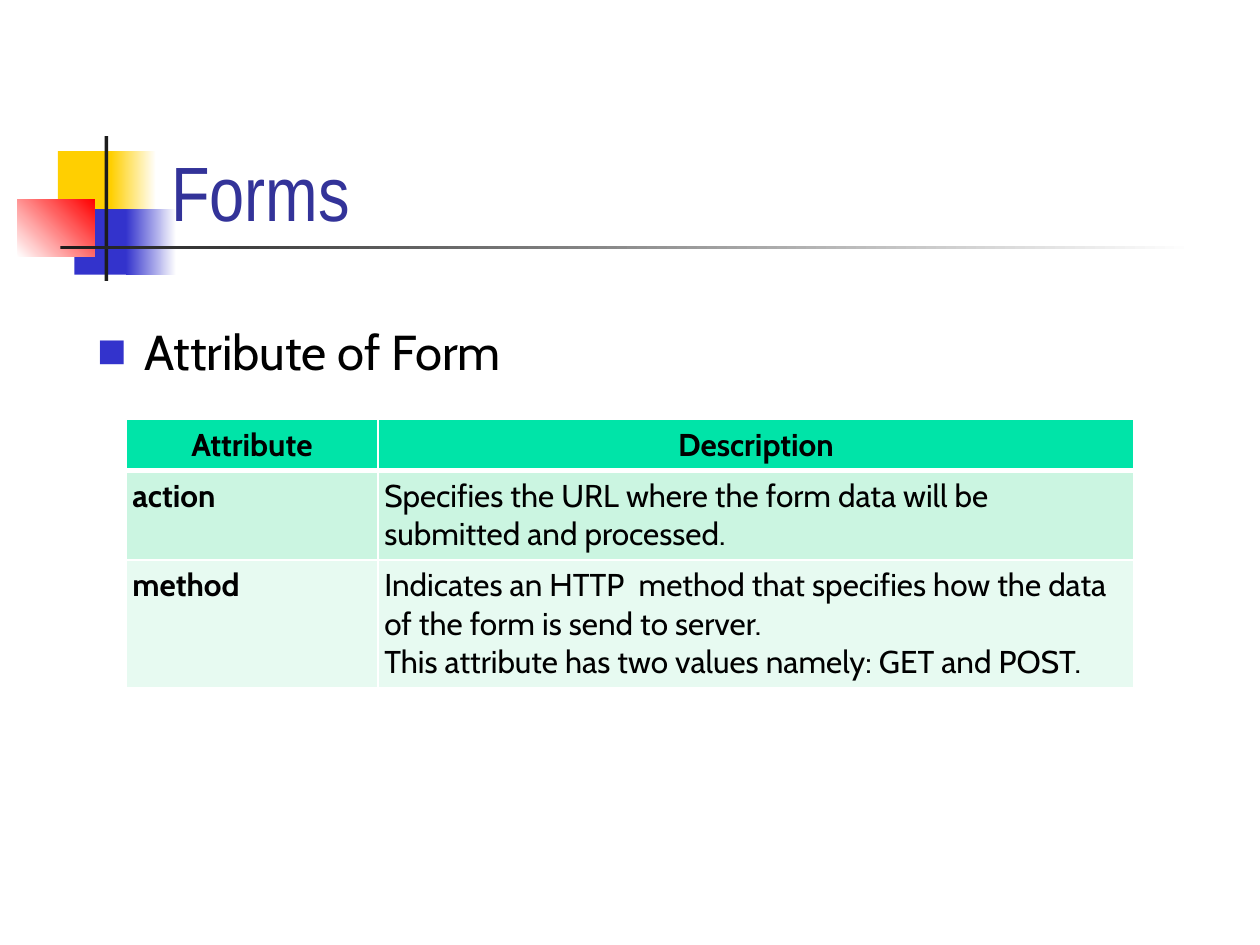
from lxml import etree
from pptx import Presentation
from pptx.dml.color import RGBColor
from pptx.enum.shapes import MSO_SHAPE
from pptx.enum.text import MSO_ANCHOR, MSO_AUTO_SIZE, PP_ALIGN
from pptx.oxml.ns import qn
from pptx.util import Inches, Pt

RECTANGLE = MSO_SHAPE.RECTANGLE
LEFT, CENTER = PP_ALIGN.LEFT, PP_ALIGN.CENTER
TOP, BOTTOM = MSO_ANCHOR.TOP, MSO_ANCHOR.BOTTOM
NO_AUTOFIT = MSO_AUTO_SIZE.NONE

WHITE = RGBColor(0xFF, 0xFF, 0xFF)
BLACK = RGBColor(0x00, 0x00, 0x00)
YELLOW = RGBColor(0xFF, 0xCF, 0x01)
BLUE = RGBColor(0x33, 0x33, 0xCC)
RED = RGBColor(0xFF, 0x00, 0x00)
CHARCOAL = RGBColor(0x1C, 0x1C, 0x1C)
TITLE_BLUE = RGBColor(0x33, 0x33, 0x99)
HEADER_GREEN = RGBColor(0x00, 0xE4, 0xA8)
ROW_GREENS = (RGBColor(0xCB, 0xF5, 0xE1), RGBColor(0xE7, 0xFA, 0xF1))

TITLE_FONT, BODY_FONT = "Arial Narrow", "Cabin"

# left, top, width, height, colours from start to end, gradient angle
DECORATION = (
    (0.46, 1.2, 0.48, 0.52, (YELLOW,), 0),
    (0.88, 1.2, 0.36, 0.52, (YELLOW, WHITE), 0),
    (0.59, 1.66, 0.46, 0.52, (BLUE,), 0),
    (1.0, 1.66, 0.4, 0.52, (BLUE, WHITE), 0),
    (0.14, 1.58, 0.61, 0.46, (WHITE, RED), 45),
    (0.83, 1.08, 0.03, 1.15, (CHARCOAL,), 0),
    (0.48, 1.95, 9.0, 0.03, (CHARCOAL, WHITE), 0),
)

COLUMN_WIDTHS = (2, 6)
ROW_HEIGHTS = (0.4, 0.7, 1)
ROWS = (
    ("Attribute", "Description"),
    ("action", "Specifies the URL where the form data will be submitted and processed."),
    ("method", "Indicates an HTTP  method that specifies how the data of the form "
               "is send to server.\nThis attribute has two values namely: GET and POST."),
)


def write_text(frame, text, *, size, font, color, bold=False, align=LEFT):
    """Fill a text frame, one paragraph for each line of text."""
    frame.text = text
    frame.word_wrap = True
    for para in frame.paragraphs:
        para.alignment = align
        para.space_before = Pt(0)
        for span in para.runs:
            span.font.size = Pt(size)
            span.font.name = font
            span.font.bold = bold
            span.font.color.rgb = color


def add_block(page, left, top, width, height, colors, angle):
    block = page.shapes.add_shape(
        RECTANGLE, Inches(left), Inches(top), Inches(width), Inches(height))
    block.shadow.inherit = False
    block.line.fill.background()
    if len(colors) == 1:
        block.fill.solid()
        block.fill.fore_color.rgb = colors[0]
        return
    block.fill.gradient()
    block.fill.gradient_angle = angle
    for stop, color in zip(block.fill.gradient_stops, colors):
        stop.color.rgb = color


def place_placeholder(box, left, top, width, height, anchor):
    """Move a placeholder and bring it to the front."""
    box.left, box.top = Inches(left), Inches(top)
    box.width, box.height = Inches(width), Inches(height)
    box.text_frame.auto_size = NO_AUTOFIT
    box.text_frame.vertical_anchor = anchor
    box.element.getparent().append(box.element)


def add_bullet(para, symbol, color, indent):
    props = para._p.get_or_add_pPr()
    props.set("marL", str(Inches(indent)))
    props.set("indent", str(-Inches(indent)))
    bullet_color = etree.SubElement(props, qn("a:buClr"))
    etree.SubElement(bullet_color, qn("a:srgbClr"), val=str(color))
    etree.SubElement(props, qn("a:buFont"), typeface="Arial")
    etree.SubElement(props, qn("a:buChar"), char=symbol)


def set_borders(cell, color, **widths):
    """Draw cell edges, given as lnL, lnR, lnT and lnB in points."""
    props = cell._tc.get_or_add_tcPr()
    for position, (edge, width) in enumerate(widths.items()):
        line = etree.Element(qn(f"a:{edge}"), w=str(Pt(width)))
        fill = etree.SubElement(line, qn("a:solidFill"))
        etree.SubElement(fill, qn("a:srgbClr"), val=str(color))
        props.insert(position, line)


def add_attribute_table(page, left, top):
    frame = page.shapes.add_table(
        len(ROWS), len(COLUMN_WIDTHS), Inches(left), Inches(top),
        Inches(sum(COLUMN_WIDTHS)), Inches(sum(ROW_HEIGHTS)))
    table = frame.table
    for column, width in zip(table.columns, COLUMN_WIDTHS):
        column.width = Inches(width)
    for r, (texts, height) in enumerate(zip(ROWS, ROW_HEIGHTS)):
        table.rows[r].height = Inches(height)
        header = r == 0
        for c, text in enumerate(texts):
            cell = table.cell(r, c)
            cell.margin_left = cell.margin_right = Inches(0.05)
            cell.margin_top = cell.margin_bottom = Inches(0.05)
            cell.fill.solid()
            cell.fill.fore_color.rgb = HEADER_GREEN if header else ROW_GREENS[r - 1]
            write_text(cell.text_frame, text, size=18, font=BODY_FONT, color=BLACK,
                       bold=header or c == 0, align=CENTER if header else LEFT)
            set_borders(cell, WHITE, lnL=1, lnR=1,
                        lnT=3 if r == 1 else 1, lnB=3 if header else 1)


def main():
    deck = Presentation()
    deck.slide_width, deck.slide_height = Inches(10), Inches(7.5)
    page = deck.slides.add_slide(deck.slide_layouts[1])
    title, body = page.shapes.title, page.placeholders[1]

    for block in DECORATION:
        add_block(page, *block)

    place_placeholder(title, 1.26, 0.68, 8.52, 1.25, BOTTOM)
    write_text(title.text_frame, "Forms", size=44, font=TITLE_FONT, color=TITLE_BLUE)

    add_attribute_table(page, 1, 3.33)

    place_placeholder(body, 0.67, 2.5, 8.33, 0.5, TOP)
    write_text(body.text_frame, "Attribute of Form", size=28, font=BODY_FONT, color=BLACK)
    add_bullet(body.text_frame.paragraphs[0], "■", BLUE, 0.38)

    deck.save("out.pptx")


if __name__ == "__main__":
    main()
